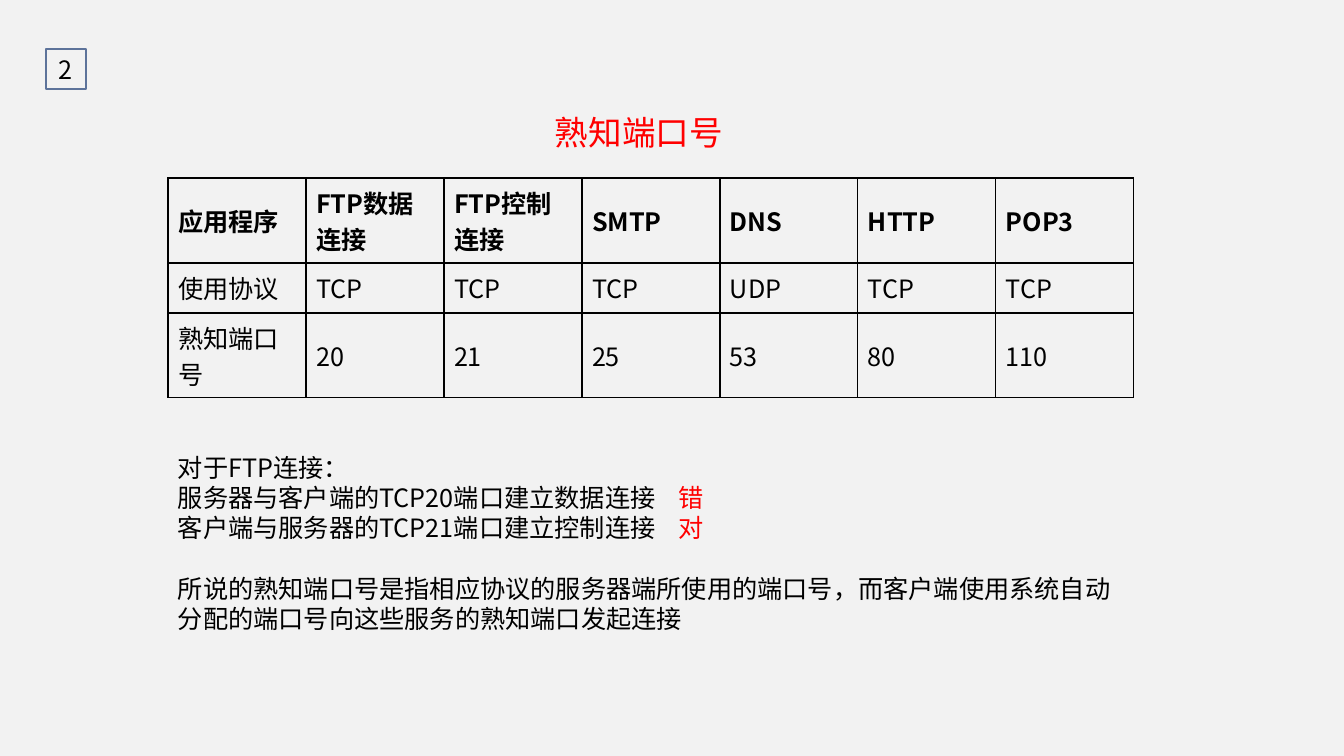
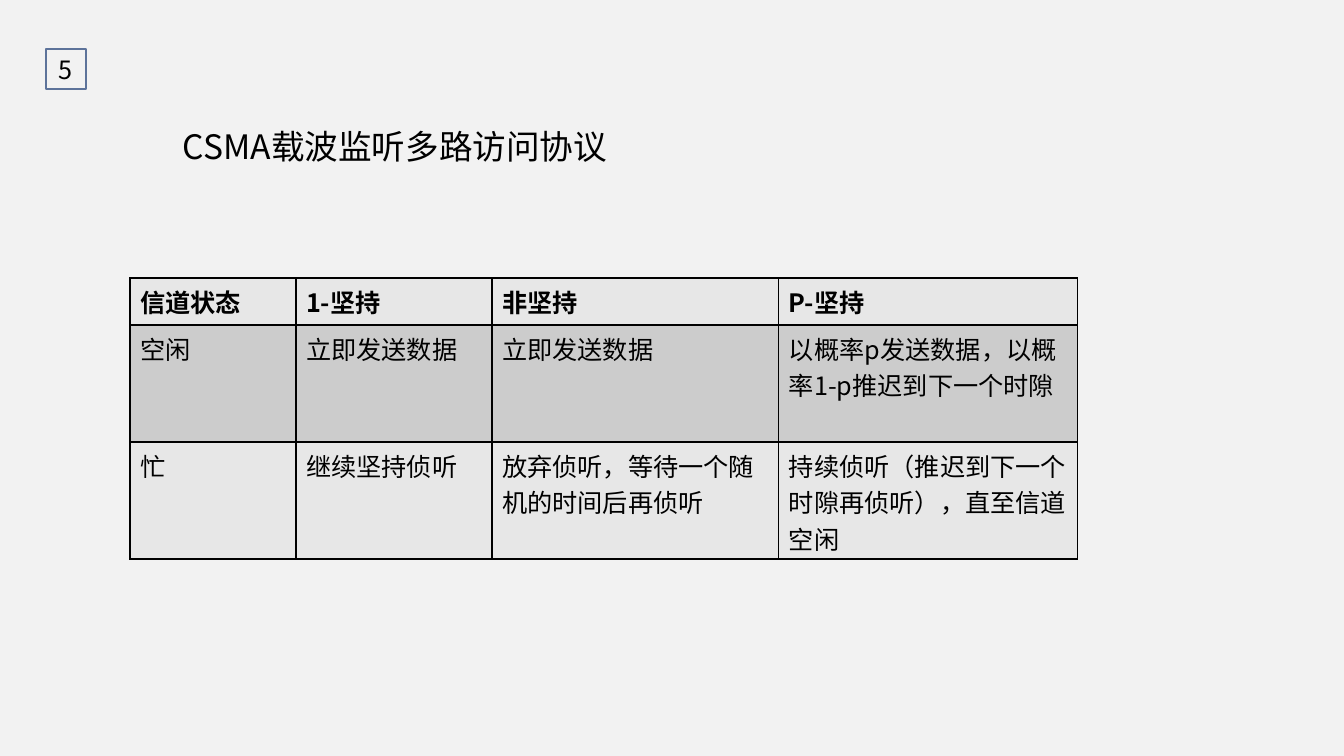
import pptx
import pptx.dml.color
import pptx.enum.shapes
import pptx.enum.text
import pptx.oxml
import pptx.oxml.ns
import pptx.util
from lxml import etree

FONT = "Noto Sans CJK SC"
BACKGROUND = "F2F2F2"
BLACK = "000000"
RED = "FF0000"
BADGE_LINE = "5D739A"
LIGHT_ROW = "E7E7E7"
DARK_ROW = "CCCCCC"
BODY_SIZE = 18
TITLE_SIZE = 24
LINE_FACTOR = 1.2

ANCHOR = pptx.enum.text.MSO_ANCHOR
ALIGN = pptx.enum.text.PP_ALIGN


def px(count):
    return pptx.util.Emu(round(count * 914400 / 100.8))


def colour(value):
    return pptx.dml.color.RGBColor.from_string(value)


def sub_element(parent, tag, **attributes):
    element = etree.SubElement(parent, pptx.oxml.ns.qn(tag))
    for name, value in attributes.items():
        element.set(name, str(value))
    return element


def add_text(para, text, size=BODY_SIZE, ink=BLACK, bold=False):
    span = para.add_run()
    span.text = text
    span.font.name = FONT
    span.font.size = pptx.util.Pt(size)
    span.font.bold = bold
    span.font.color.rgb = colour(ink)
    sub_element(span.font._element, "a:ea", typeface=FONT)


# Slide parts

def add_page(deck, number):
    page = deck.slides.add_slide(deck.slide_layouts[6])
    page.background.fill.solid()
    page.background.fill.fore_color.rgb = colour(BACKGROUND)
    badge = page.shapes.add_shape(
        pptx.enum.shapes.MSO_SHAPE.RECTANGLE, px(46), px(49), px(40), px(40))
    badge.shadow.inherit = False
    badge.fill.background()
    badge.line.color.rgb = colour(BADGE_LINE)
    badge.line.width = pptx.util.Pt(1.5)
    frame = badge.text_frame
    frame.margin_left = frame.margin_right = 0
    frame.vertical_anchor = ANCHOR.MIDDLE
    frame.paragraphs[0].alignment = ALIGN.CENTER
    add_text(frame.paragraphs[0], str(number))
    return page


def add_box(page, left, top, width, height):
    box = page.shapes.add_textbox(px(left), px(top), px(width), px(height))
    box.text_frame.word_wrap = True
    return box.text_frame


def set_line_height(para, size):
    para.line_spacing = pptx.util.Pt(size * LINE_FACTOR)


def add_title(page, text, left, top, width, ink=BLACK):
    para = add_box(page, left, top, width, 50).paragraphs[0]
    set_line_height(para, TITLE_SIZE)
    add_text(para, text, size=TITLE_SIZE, ink=ink)


def add_statements(page, statements, left, top, width, height, verdict_at):
    """Each statement is (text, verdict, space before in points)."""
    frame = add_box(page, left, top, width, height)
    for index, (text, verdict, gap) in enumerate(statements):
        para = frame.add_paragraph() if index else frame.paragraphs[0]
        if verdict:
            tabs = sub_element(para._p.get_or_add_pPr(), "a:tabLst")
            sub_element(tabs, "a:tab", pos=px(verdict_at), algn="l")
        set_line_height(para, BODY_SIZE)
        if gap:
            para.space_before = pptx.util.Pt(gap)
        add_text(para, text)
        if verdict:
            add_text(para, "\t" + verdict, ink=RED)


def add_borders(cell):
    properties = cell._tc.get_or_add_tcPr()
    for side in ("a:lnL", "a:lnR", "a:lnT", "a:lnB"):
        line = sub_element(properties, side, w=pptx.util.Pt(1))
        sub_element(sub_element(line, "a:solidFill"), "a:srgbClr", val=BLACK)


def add_grid(page, rows, left, top, widths, heights,
             fills=None, anchor=ANCHOR.TOP, margin_bottom=5):
    table = page.shapes.add_table(
        len(rows), len(widths), px(left), px(top),
        px(sum(widths)), px(sum(heights))).table
    table.first_row = table.horz_banding = False
    for column, width in zip(table.columns, widths):
        column.width = px(width)
    for row, height in zip(table.rows, heights):
        row.height = px(height)
    for row_index, texts in enumerate(rows):
        for column_index, text in enumerate(texts):
            cell = table.cell(row_index, column_index)
            add_borders(cell)
            if fills:
                cell.fill.solid()
                cell.fill.fore_color.rgb = colour(fills[row_index])
            else:
                cell.fill.background()
            cell.vertical_anchor = anchor
            cell.margin_bottom = px(margin_bottom)
            add_text(cell.text_frame.paragraphs[0], text, bold=row_index == 0)


# Slides

def build_ports(deck):
    page = add_page(deck, 2)
    rows = [
        ["应用程序", "FTP数据连接", "FTP控制连接", "SMTP", "DNS", "HTTP", "POP3"],
        ["使用协议", "TCP", "TCP", "TCP", "UDP", "TCP", "TCP"],
        ["熟知端口号", "20", "21", "25", "53", "80", "110"],
    ]
    add_grid(page, rows, 168, 178, [138] * 7, [85, 50, 85],
             anchor=ANCHOR.MIDDLE)
    add_title(page, "熟知端口号", 545, 107, 305, ink=RED)
    statements = [
        ("对于FTP连接：", None, 0),
        ("服务器与客户端的TCP20端口建立数据连接", "错", 0),
        ("客户端与服务器的TCP21端口建立控制连接", "对", 0),
        ("所说的熟知端口号是指相应协议的服务器端所使用的端口号，"
         "而客户端使用系统自动分配的端口号向这些服务的熟知端口发起连接",
         None, BODY_SIZE * LINE_FACTOR),
    ]
    add_statements(page, statements, 168, 447, 965, 194, verdict_at=501)


def build_csma(deck):
    page = add_page(deck, 5)
    add_title(page, "CSMA载波监听多路访问协议", 173, 121, 457)
    rows = [
        ["信道状态", "1-坚持", "非坚持", "P-坚持"],
        ["空闲", "立即发送数据", "立即发送数据",
         "以概率p发送数据，以概率1-p推迟到下一个时隙"],
        ["忙", "继续坚持侦听", "放弃侦听，等待一个随机的时间后再侦听",
         "持续侦听（推迟到下一个时隙再侦听），直至信道空闲"],
    ]
    add_grid(page, rows, 130, 278, [166, 196, 287, 299], [47, 117, 117],
             fills=[LIGHT_ROW, DARK_ROW, LIGHT_ROW], margin_bottom=2)


def main():
    deck = pptx.Presentation()
    deck.slide_width, deck.slide_height = px(1344), px(756)
    build_ports(deck)
    build_csma(deck)
    deck.save("out.pptx")


if __name__ == "__main__":
    main()
